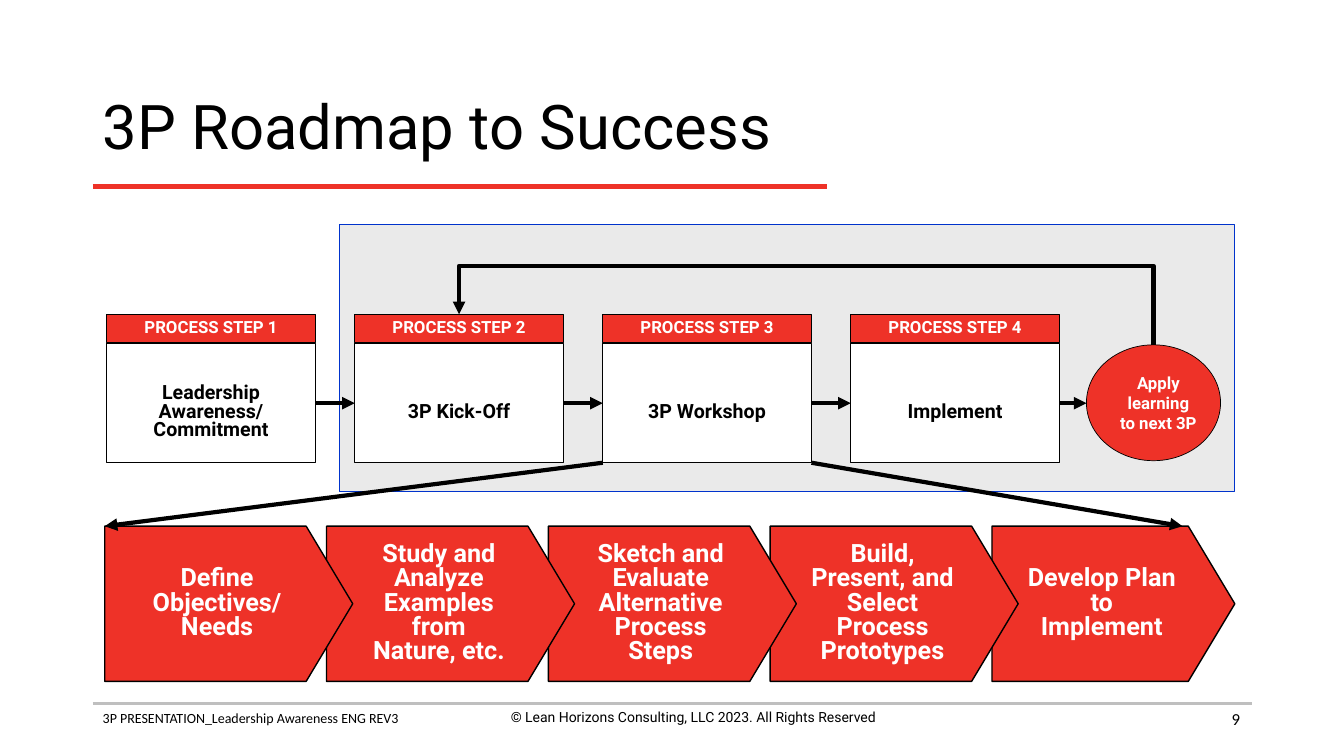
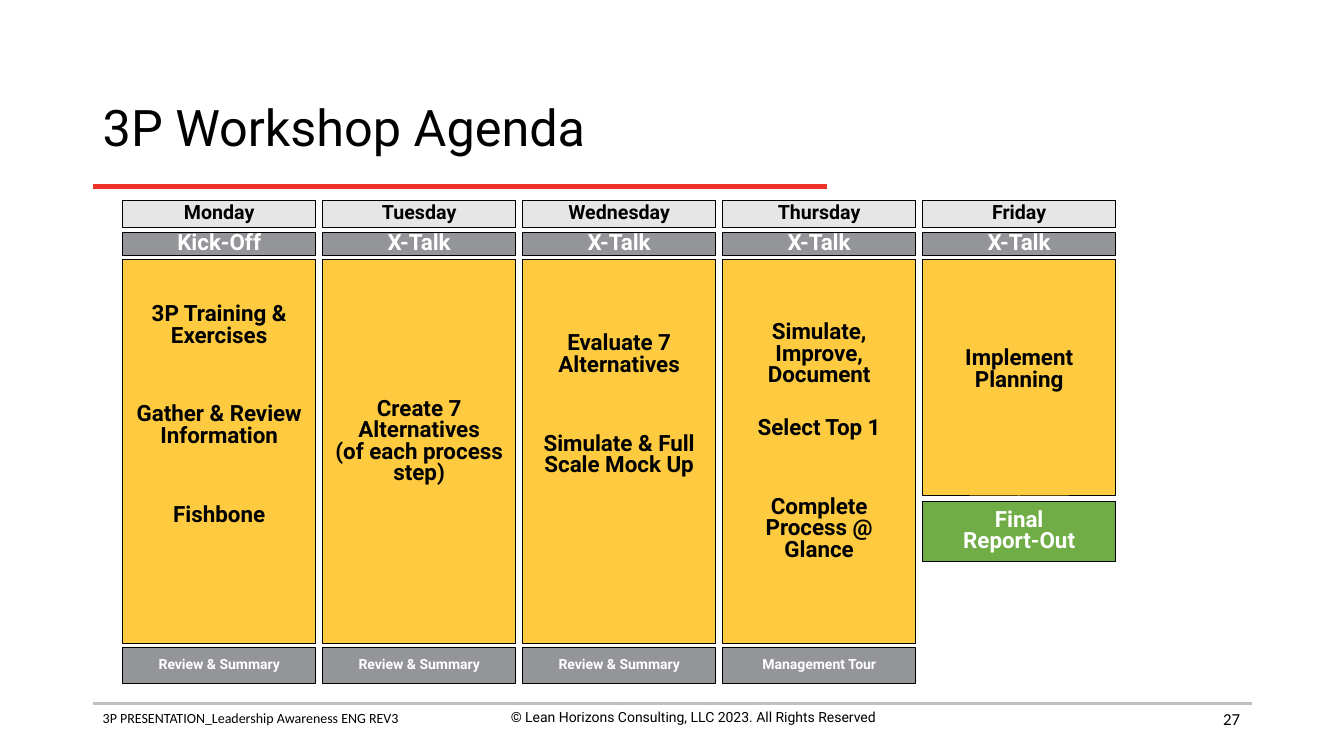
"""Build two slides about the 3P process: the roadmap and the workshop agenda."""
from lxml import etree
from pptx import Presentation
from pptx.dml.color import RGBColor
from pptx.enum.shapes import MSO_CONNECTOR, MSO_SHAPE
from pptx.enum.text import MSO_ANCHOR, PP_ALIGN
from pptx.oxml.ns import qn
from pptx.util import Cm, Pt

STRAIGHT, ELBOW = MSO_CONNECTOR.STRAIGHT, MSO_CONNECTOR.ELBOW
RECT, OVAL, CHEVRON = MSO_SHAPE.RECTANGLE, MSO_SHAPE.OVAL, MSO_SHAPE.PENTAGON
TOP, MIDDLE = MSO_ANCHOR.TOP, MSO_ANCHOR.MIDDLE
LEFT, CENTER, RIGHT = PP_ALIGN.LEFT, PP_ALIGN.CENTER, PP_ALIGN.RIGHT

BLACK = RGBColor(0x00, 0x00, 0x00)
WHITE = RGBColor(0xFF, 0xFF, 0xFF)
RED = RGBColor(0xEE, 0x32, 0x28)
BLUE = RGBColor(0x00, 0x33, 0xCC)
PANEL_GREY = RGBColor(0xEA, 0xEA, 0xEA)
DAY_GREY = RGBColor(0xE7, 0xE6, 0xE6)
BAND_GREY = RGBColor(0x93, 0x95, 0x98)
RULE_GREY = RGBColor(0xBF, 0xBF, 0xBF)
YELLOW = RGBColor(0xFD, 0xCA, 0x40)
GREEN = RGBColor(0x70, 0xAD, 0x47)

HEADING_FONT, FOOTER_FONT = "Roboto", "Calibri"
MARGIN, CONTENT_RIGHT = 2.34, 31.55
TIGHT, NORMAL = 0.8, 1.0
INSETS = (0.25, 0.13, 0.25, 0.13)


class Deck:
    """Holds the shared style and the slide being built."""

    def __init__(self):
        self.prs = Presentation()
        self.prs.slide_width, self.prs.slide_height = Cm(33.87), Cm(19.05)
        self.slide = None

    def new_slide(self, title, size, number):
        self.slide = self.prs.slides.add_slide(self.prs.slide_layouts[6])
        self.line(MARGIN, 17.73, CONTENT_RIGHT, 17.73, RULE_GREY, 2)
        self.label("3P PRESENTATION_Leadership Awareness ENG REV3",
                   (MARGIN, 17.75, 11.58, 1.12), 10, FOOTER_FONT)
        self.label("© Lean Horizons Consulting, LLC 2023. All Rights Reserved",
                   (11.68, 17.73, 11.58, 1.12), 10, align=CENTER)
        self.line(MARGIN, 4.7, 20.83, 4.7, RED, 3)
        self.label(title, (MARGIN, 1.88, 29.21, 2.79), size,
                   anchor=MIDDLE, spacing=0.9)
        self.label(number, (23.88, 17.6, 7.62, 1.02), 12, FOOTER_FONT,
                   RIGHT, MIDDLE)

    def set_text(self, frame, paragraphs, size, color, font, bold, align,
                 anchor, spacing, insets):
        frame.word_wrap = True
        frame.vertical_anchor = anchor
        (frame.margin_left, frame.margin_top,
         frame.margin_right, frame.margin_bottom) = map(Cm, insets)
        for index, (text, gap) in enumerate(paragraphs):
            paragraph = frame.add_paragraph() if index else frame.paragraphs[0]
            paragraph.alignment = align
            paragraph.line_spacing = spacing
            paragraph.space_before = Pt(gap)
            run = paragraph.add_run()
            run.text = text
            run.font.name, run.font.size, run.font.bold = font, Pt(size), bold
            run.font.color.rgb = color

    def label(self, text, box, size, font=HEADING_FONT, align=LEFT,
              anchor=TOP, spacing=NORMAL):
        frame = self.slide.shapes.add_textbox(*map(Cm, box)).text_frame
        self.set_text(frame, [(text, 0)], size, BLACK, font, False, align,
                      anchor, spacing, INSETS)

    def block(self, box, fill, paragraphs=(), size=16, color=WHITE, kind=RECT,
              border=BLACK, width=0.75, anchor=MIDDLE, spacing=TIGHT,
              insets=INSETS):
        shape = self.slide.shapes.add_shape(kind, *map(Cm, box))
        shape.shadow.inherit = False
        shape.fill.solid()
        shape.fill.fore_color.rgb = fill
        shape.line.color.rgb = border
        shape.line.width = Pt(width)
        self.set_text(shape.text_frame, paragraphs, size, color, HEADING_FONT,
                      True, CENTER, anchor, spacing, insets)
        return shape

    def line(self, x1, y1, x2, y2, color=BLACK, width=3, kind=STRAIGHT):
        connector = self.slide.shapes.add_connector(
            kind, Cm(x1), Cm(y1), Cm(x2), Cm(y2))
        connector.line.color.rgb = color
        connector.line.width = Pt(width)
        etree.SubElement(connector.element.spPr, qn("a:effectLst"))
        return connector

    def arrow(self, x1, y1, x2, y2, kind=STRAIGHT):
        connector = self.line(x1, y1, x2, y2, kind=kind)
        outline = connector.element.spPr.find(qn("a:ln"))
        etree.SubElement(outline, qn("a:tailEnd"), type="triangle")
        return connector

    def loop_back(self, x1, y1, x2, y2, crest):
        mid_x, mid_y = (x1 + x2) / 2, (y1 + y2) / 2
        run, rise = (x1 - x2) / 2, (y1 - y2) / 2
        connector = self.arrow(mid_x + rise, mid_y - run,
                               mid_x - rise, mid_y + run, ELBOW)
        properties = connector.element.spPr
        properties.find(qn("a:xfrm")).set("rot", "5400000")
        guides = properties.find(qn("a:prstGeom")).find(qn("a:avLst"))
        bend = round((y1 - crest) / (y1 - y2) * 100000)
        etree.SubElement(guides, qn("a:gd"), name="adj1", fmla=f"val {bend}")


def lines(text):
    return [(part, 0) for part in text.split("\n")]


def roadmap(deck):
    deck.new_slide("3P Roadmap to Success", 44, "9")
    panel_left, panel_right = 8.56, 31.12
    deck.block((panel_left, 5.66, panel_right - panel_left, 6.73), PANEL_GREY,
               border=BLUE, width=1)

    circle_left, circle_top, circle_width = 27.38, 8.69, 3.38
    deck.block((circle_left, circle_top, circle_width, 2.92), RED,
               lines("Apply\nlearning\nto next 3P"), 12, kind=OVAL, width=0.5,
               spacing=NORMAL, insets=(0.25, 0.13, 0, 0.13))

    steps = ["Leadership Awareness/ Commitment", "3P Kick-Off",
             "3P Workshop", "Implement"]
    step_width, header_top, body_top, body_height = 5.26, 7.92, 8.66, 3.0
    step_lefts = [2.69 + 6.25 * index for index in range(len(steps))]
    for number, (left, step) in enumerate(zip(step_lefts, steps), 1):
        deck.block((left, body_top, step_width, body_height), WHITE,
                   [(step, 0)], 14, BLACK, width=1,
                   insets=(0.25, 0.6, 0.25, 0.13))
        deck.block((left, header_top, step_width, 0.72), RED,
                   [(f"PROCESS STEP {number}", 0)], 12, width=1)
    for left, target in zip(step_lefts, step_lefts[1:] + [circle_left]):
        deck.arrow(left + step_width, 10.16, target, 10.16)
    deck.loop_back(circle_left + circle_width / 2, circle_top,
                   step_lefts[1] + step_width / 2, header_top, 6.7)

    phases = ["Define\nObjectives/\nNeeds",
              "Study and\nAnalyze\nExamples\nfrom\nNature, etc.",
              "Sketch and\nEvaluate\nAlternative\nProcess\nSteps",
              "Build,\nPresent, and\nSelect\nProcess\nPrototypes",
              "Develop Plan\nto\nImplement"]
    phase_left, phase_top = 2.64, 13.26
    for index, phase in reversed(list(enumerate(phases))):
        left = phase_left + 5.59 * index
        chevron = deck.block(
            (left, phase_top, min(6.25, panel_right - left), 3.91), RED,
            lines(phase), 18, kind=CHEVRON, width=1)
        chevron.adjustments[0] = 0.3

    workshop_left, body_bottom = step_lefts[2], body_top + body_height
    deck.arrow(workshop_left, body_bottom, phase_left, phase_top)
    deck.arrow(workshop_left + step_width, body_bottom, 29.8, phase_top)


def agenda(deck):
    deck.new_slide("3P Workshop Agenda", 36, "27")
    gap = 41
    days = [
        ("Monday", "Kick-Off", 1.14,
         [("3P Training & Exercises", 0), ("Gather & Review Information", gap),
          ("Fishbone", gap)], "Review & Summary"),
        ("Tuesday", "X-Talk", 3.53,
         lines("Create 7 Alternatives\n(of each process step)"),
         "Review & Summary"),
        ("Wednesday", "X-Talk", 1.88,
         [("Evaluate 7 Alternatives", 0),
          ("Simulate & Full Scale Mock Up", gap)], "Review & Summary"),
        ("Thursday", "X-Talk", 1.6,
         [("Simulate, Improve, Document", 0), ("Select Top 1", 22),
          ("Complete Process @ Glance", gap)], "Management Tour"),
        ("Friday", "X-Talk", 2.25, [("Implement Planning", 0)], None),
    ]
    width = 4.85
    for index, (day, opening, text_top, tasks, closing) in enumerate(days):
        left = 3.1 + 5.04 * index
        deck.block((left, 5.05, width, 0.69), DAY_GREY, [(day, 0)], 14, BLACK)
        deck.block((left, 5.87, width, 0.58), BAND_GREY, [(opening, 0)])
        deck.block((left, 6.53, width, 9.68 if closing else 5.97), YELLOW,
                   tasks, color=BLACK, anchor=TOP,
                   insets=(0.25, text_top, 0.25, 0.13))
        if closing:
            deck.block((left, 16.31, width, 0.91), BAND_GREY,
                       [(closing, 0)], 10)
        else:
            deck.block((left, 12.65, width, 1.5), GREEN,
                       lines("Final\nReport-Out"))


def main():
    deck = Deck()
    roadmap(deck)
    agenda(deck)
    deck.prs.save("out.pptx")


if __name__ == "__main__":
    main()
